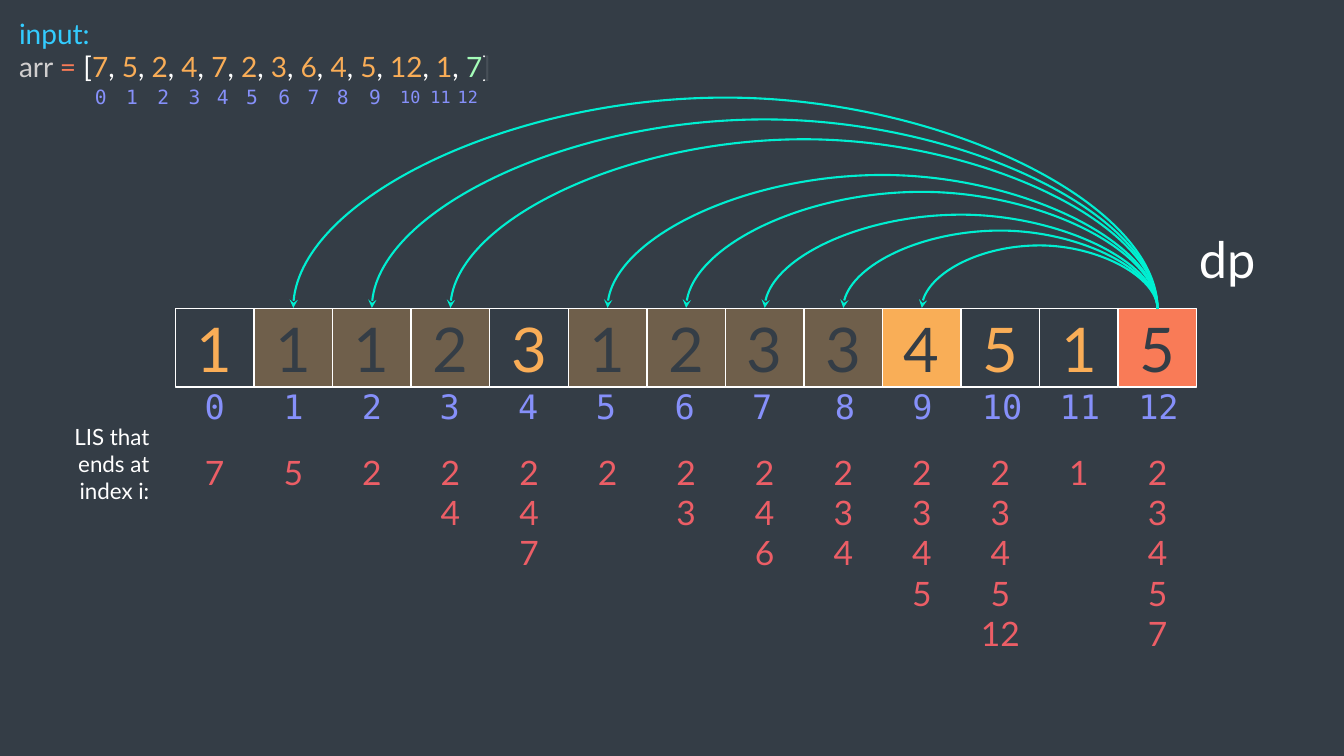
from dataclasses import dataclass

from lxml import etree
from pptx import Presentation
from pptx.dml.color import RGBColor
from pptx.enum import shapes, text
from pptx.oxml import ns
from pptx.util import Inches, Pt

# Content: one entry per array index
ARRAY = [7, 5, 2, 4, 7, 2, 3, 6, 4, 5, 12, 1, 7]
LENGTHS = [1, 1, 1, 2, 3, 1, 2, 3, 3, 4, 5, 1, 5]
SEQUENCES = [
    [7], [5], [2], [2, 4], [2, 4, 7], [2], [2, 3], [2, 4, 6], [2, 3, 4],
    [2, 3, 4, 5], [2, 3, 4, 5, 12], [1], [2, 3, 4, 5, 7],
]
CURRENT, BEST = 12, 9
# Index compared with the current one: height of the arc above the row
ARC_RISES = {9: 0.64, 8: 0.79, 7: 0.95, 6: 1.18, 5: 1.35, 3: 1.71, 2: 1.91, 1: 2.13}

# Label centres, spaced by the width of the digits above them
ARRAY_INDEX_CENTERS = [1, 1.31, 1.62, 1.93, 2.21, 2.5, 2.82, 3.11, 3.4, 3.72,
                       4.07, 4.37, 4.64]
DP_INDEX_CENTERS = [2.13, 2.91, 3.69, 4.46, 5.24, 6.01, 6.79, 7.56, 8.38, 9.15,
                    9.94, 10.71, 11.49]

# Layout in inches
ROW_LEFT, ROW_TOP, ROW_WIDTH = 1.74, 3.06, 10.13
CELL = ROW_WIDTH / len(LENGTHS)
ARC_DEPTH = 0.01


@dataclass(frozen=True)
class Theme:
    background: str = "343D46"
    white: str = "FFFFFF"
    amber: str = "F9AD57"
    amber_fill: str = "F9AE57"
    coral: str = "F97B57"
    gray: str = "D0CECE"
    cyan: str = "33CCFF"
    green: str = "A5FDB9"
    red: str = "EC5E66"
    violet: str = "8690FA"
    teal: str = "00EFD1"
    body: str = "Lato"
    mono: str = "DejaVu Sans Mono"
    cell_size: int = 44
    dp_size: int = 36
    label_size: int = 24
    input_size: int = 20
    note_size: int = 16
    small_size: int = 14
    tiny_size: int = 12


THEME = Theme()
CENTER, LEFT, RIGHT = (text.PP_ALIGN.CENTER, text.PP_ALIGN.LEFT, text.PP_ALIGN.RIGHT)

deck = Presentation()
deck.slide_width, deck.slide_height = Inches(13.33), Inches(7.5)
page = deck.slides.add_slide(deck.slide_layouts[6])
page.background.fill.solid()
page.background.fill.fore_color.rgb = RGBColor.from_string(THEME.background)


def write(frame, lines, size, font=THEME.body, align=CENTER):
    """Each line is a list of (words, colour) pairs."""
    frame.word_wrap = True
    for number, line in enumerate(lines):
        para = frame.add_paragraph() if number else frame.paragraphs[0]
        para.alignment = align
        for words, color in line:
            span = para.add_run()
            span.text = str(words)
            span.font.size, span.font.name = Pt(size), font
            span.font.color.rgb = RGBColor.from_string(color)


def add_label(left, top, width, height, lines, size, font=THEME.body, align=CENTER):
    box = page.shapes.add_textbox(*map(Inches, (left, top, width, height)))
    write(box.text_frame, lines, size, font, align)


def add_rectangle(left, top, width, height, color, opacity=100):
    box = page.shapes.add_shape(shapes.MSO_SHAPE.RECTANGLE,
                                *map(Inches, (left, top, width, height)))
    box.shadow.inherit = False
    box.fill.solid()
    box.fill.fore_color.rgb = RGBColor.from_string(color)
    box.line.fill.background()
    if opacity < 100:
        tint = box.fill._xPr.find(".//" + ns.qn("a:srgbClr"))
        etree.SubElement(tint, ns.qn("a:alpha"), val=str(opacity * 1000))
    return box


def cell_center(index):
    return ROW_LEFT + CELL * (index + 0.5)


def cell_style(index):
    """Fill, opacity and digit colour."""
    if index == CURRENT:
        return THEME.coral, 100, THEME.background
    if index == BEST:
        return THEME.amber_fill, 100, THEME.background
    if index in ARC_RISES:
        return THEME.amber_fill, 30, THEME.background
    return THEME.background, 100, THEME.amber


def add_arc(target, rise):
    """A curved connector turned a quarter left, so that it bows upwards."""
    start, end = cell_center(CURRENT), cell_center(target)
    middle, half = (start + end) / 2, (start - end) / 2
    arc = page.shapes.add_connector(
        shapes.MSO_CONNECTOR.CURVE,
        *map(Inches, (middle - ARC_DEPTH / 2, ROW_TOP + half,
                      middle + ARC_DEPTH / 2, ROW_TOP - half)))
    arc.line.color.rgb = RGBColor.from_string(THEME.teal)
    arc.line.width = Pt(1.5)
    properties = arc._element.spPr
    properties.find(ns.qn("a:xfrm")).set("rot", str(270 * 60000))
    guides = properties.find(ns.qn("a:prstGeom")).find(ns.qn("a:avLst"))
    etree.SubElement(guides, ns.qn("a:gd"), name="adj1",
                     fmla=f"val {round(rise / ARC_DEPTH * 100000)}")
    etree.SubElement(properties.find(ns.qn("a:ln")), ns.qn("a:tailEnd"), type="stealth")
    etree.SubElement(properties, ns.qn("a:effectLst"))


# Row of dp cells
for index, length in enumerate(LENGTHS):
    fill, opacity, digit_color = cell_style(index)
    cell = add_rectangle(ROW_LEFT + CELL * index, ROW_TOP, CELL, CELL, fill, opacity)
    cell.line.color.rgb = RGBColor.from_string(THEME.white)
    cell.line.width = Pt(1)
    cell.text_frame.vertical_anchor = text.MSO_ANCHOR.MIDDLE
    write(cell.text_frame, [[(length, digit_color)]], THEME.cell_size)
add_label(11.61, 2.21, 1.12, 0.71, [[("dp", THEME.white)]], THEME.dp_size)

# Input array
array_line = [("arr ", THEME.gray), ("= ", THEME.coral), ("[", THEME.white)]
for index, value in enumerate(ARRAY):
    if index:
        array_line.append((", ", THEME.white))
    array_line.append((value, THEME.green if index == CURRENT else THEME.amber))
array_line.append(("]", THEME.white))
add_label(0.09, 0.11, 5.79, 0.77, [[("input:", THEME.cyan)], array_line],
          THEME.input_size, align=LEFT)

# Subsequences under the row
add_label(0.15, 4.15, 1.43, 0.91, [[("LIS that ends at index i:", THEME.white)]],
          THEME.note_size, align=RIGHT)
for index, sequence in enumerate(SEQUENCES):
    add_label(cell_center(index) - CELL / 2, 4.43, CELL, 0.1 + 0.4 * len(sequence),
              [[(value, THEME.red)] for value in sequence], THEME.label_size)

# Indices of the input array and of the dp row
for index, center in enumerate(ARRAY_INDEX_CENTERS):
    top, size = (0.79, THEME.small_size) if index < 10 else (0.81, THEME.tiny_size)
    add_label(center - 0.27, top, 0.54, 0.34, [[(index, THEME.violet)]], size, THEME.mono)
for index, center in enumerate(DP_INDEX_CENTERS):
    add_label(center - CELL / 2, 3.78, CELL, 0.5, [[(index, THEME.violet)]],
              THEME.label_size, THEME.mono)

# Arcs from the current cell to the smaller values before it
for target, rise in ARC_RISES.items():
    add_arc(target, rise)

# Veil over the closing bracket
add_rectangle(4.81, 0.33, 0.05, 0.76, THEME.background, 90)

deck.save("out.pptx")
